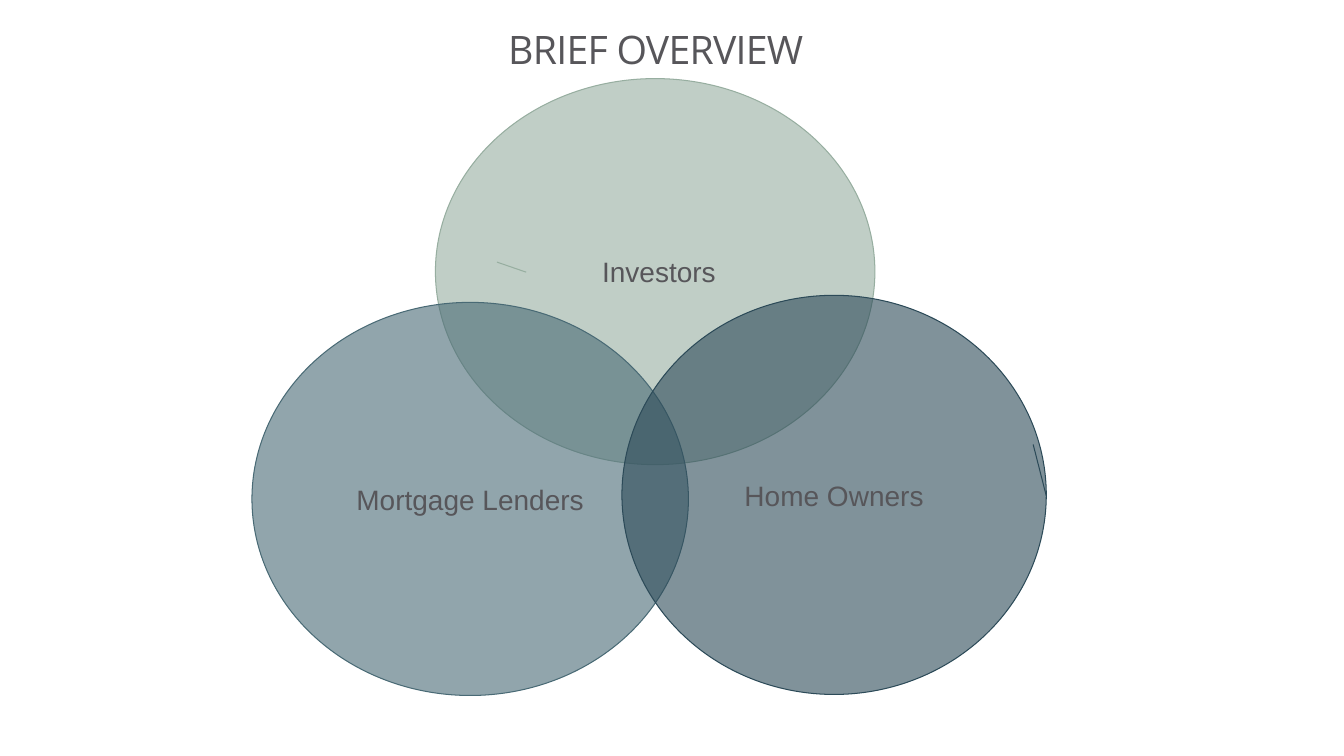
from dataclasses import dataclass

from lxml import etree
from pptx import Presentation
from pptx.dml.color import RGBColor
from pptx.enum.shapes import MSO_CONNECTOR, MSO_SHAPE
from pptx.enum.text import MSO_ANCHOR, PP_ALIGN
from pptx.oxml.ns import qn
from pptx.util import Pt

ELLIPSE = MSO_SHAPE.OVAL
STRAIGHT = MSO_CONNECTOR.STRAIGHT
MIDDLE = MSO_ANCHOR.MIDDLE
CENTER = PP_ALIGN.CENTER


@dataclass(frozen=True)
class Theme:
    """Colours, fonts and sizes of the slide."""
    text: str = "57565A"
    investors: str = "97AEA0"
    lenders: str = "496A75"
    owners: str = "2C4A58"
    title_font: str = "Open Sans"
    label_font: str = "Arial"
    title_size: float = 28
    label_size: float = 20
    line_width: float = 0.75
    opacity: int = 60


THEME = Theme()
CIRCLES = [
    (" Investors", THEME.investors, (311.04, 56.16, 313.92, 275.76)),
    ("Mortgage Lenders", THEME.lenders, (180, 216, 311.76, 280.8)),
    ("Home Owners", THEME.owners, (444.24, 210.96, 303.12, 285.12)),
]
LEADERS = [
    (THEME.owners, (747.36, 354.24, 738, 317.52)),
    (THEME.investors, (354.96, 187.2, 375.84, 194.4)),
]


def assign(target, formats):
    """Set each attribute named in formats on the target."""
    for name, value in formats.items():
        setattr(target, name, value)


def write_text(shape, text, font, size):
    """Put one centred line of text in the shape and return its span."""
    frame = shape.text_frame
    assign(frame, {"word_wrap": True, "vertical_anchor": MIDDLE})
    para = frame.paragraphs[0]
    para.alignment = CENTER
    span = para.add_run()
    span.text = text
    assign(span.font, {"name": font, "size": Pt(size), "bold": False})
    span.font.color.rgb = RGBColor.from_string(THEME.text)
    return span


def style_line(line, color):
    """Give an outline or connector its colour and width."""
    line.color.rgb = RGBColor.from_string(color)
    line.width = Pt(THEME.line_width)


def add_title(page, text):
    """Place and format the title placeholder."""
    title = page.shapes.title
    assign(title, {"left": Pt(60.48), "top": Pt(5.04),
                   "width": Pt(815.76), "height": Pt(64.08)})
    margins = ("margin_left", "margin_top", "margin_right", "margin_bottom")
    assign(title.text_frame, dict.fromkeys(margins, 0))
    span = write_text(title, text, THEME.title_font, THEME.title_size)
    span.font._element.set("spc", "-50")
    title.text_frame.paragraphs[0].line_spacing = 0.86


def add_circle(page, text, color, bounds):
    """Add a translucent labelled ellipse."""
    circle = page.shapes.add_shape(ELLIPSE, *map(Pt, bounds))
    circle.shadow.inherit = False
    circle.fill.solid()
    circle.fill.fore_color.rgb = RGBColor.from_string(color)
    tint = circle._element.spPr.find(qn("a:solidFill"))[0]
    etree.SubElement(tint, qn("a:alpha")).set("val", str(THEME.opacity * 1000))
    style_line(circle.line, color)
    write_text(circle, text, THEME.label_font, THEME.label_size)


def add_leader(page, color, ends):
    """Add a thin straight line without a shadow."""
    leader = page.shapes.add_connector(STRAIGHT, *map(Pt, ends))
    style_line(leader.line, color)
    etree.SubElement(leader._element.spPr, qn("a:effectLst"))


def main():
    """Build and save the slide."""
    deck = Presentation()
    assign(deck, {"slide_width": Pt(960), "slide_height": Pt(540)})
    page = deck.slides.add_slide(deck.slide_layouts[5])
    add_title(page, "BRIEF OVERVIEW")
    for text, color, bounds in CIRCLES:
        add_circle(page, text, color, bounds)
    for color, ends in LEADERS:
        add_leader(page, color, ends)
    deck.save("out.pptx")


if __name__ == "__main__":
    main()
